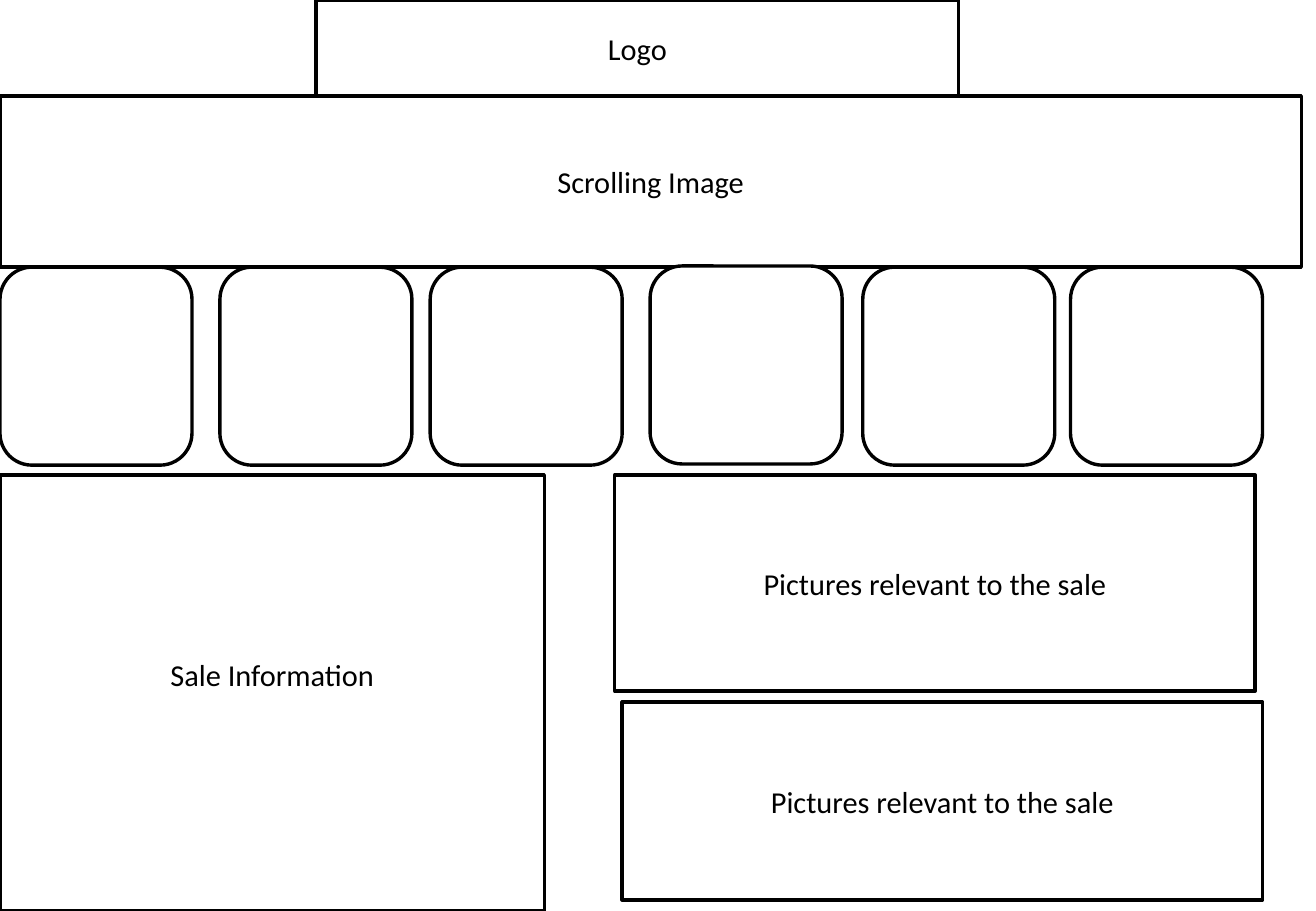
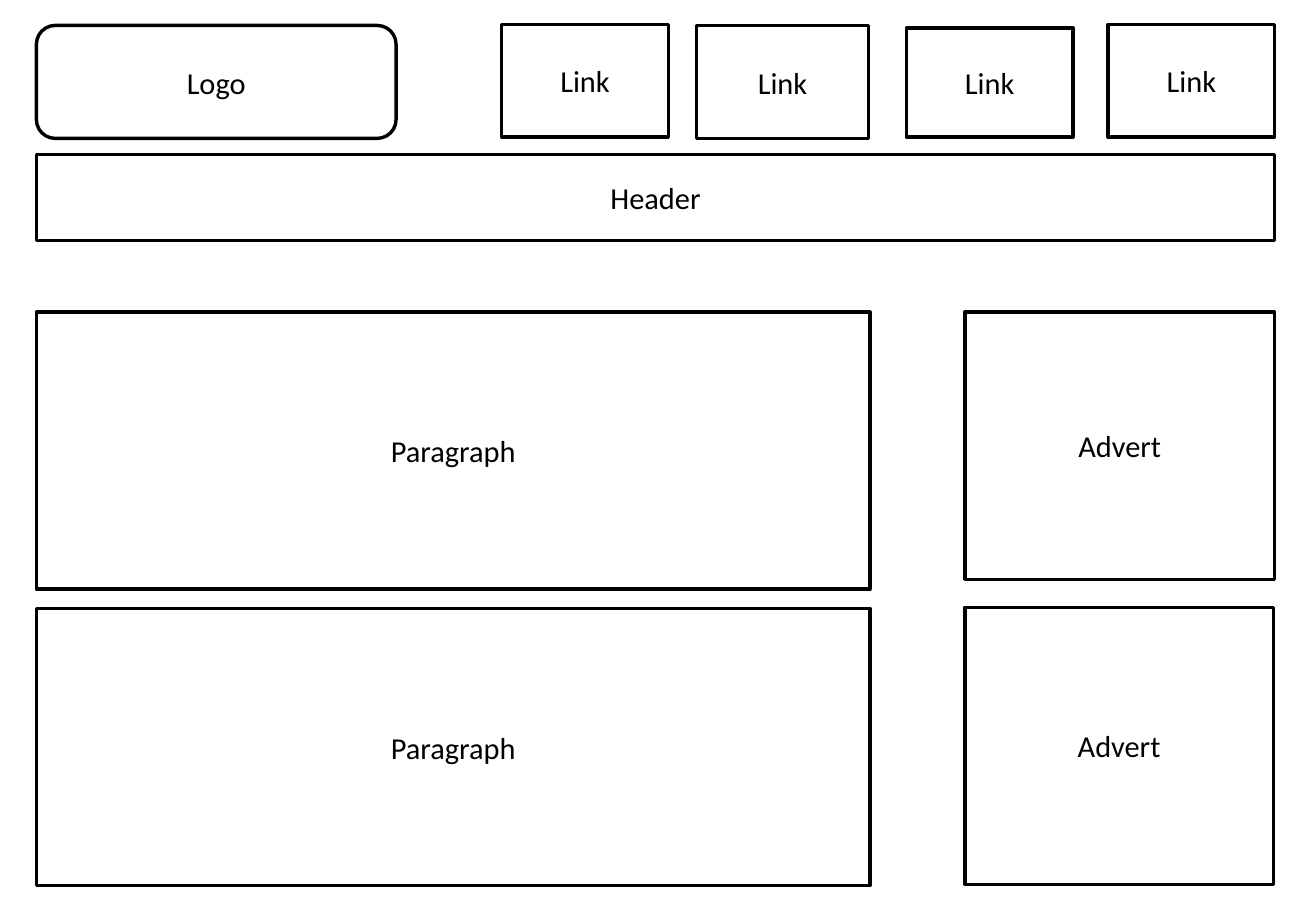
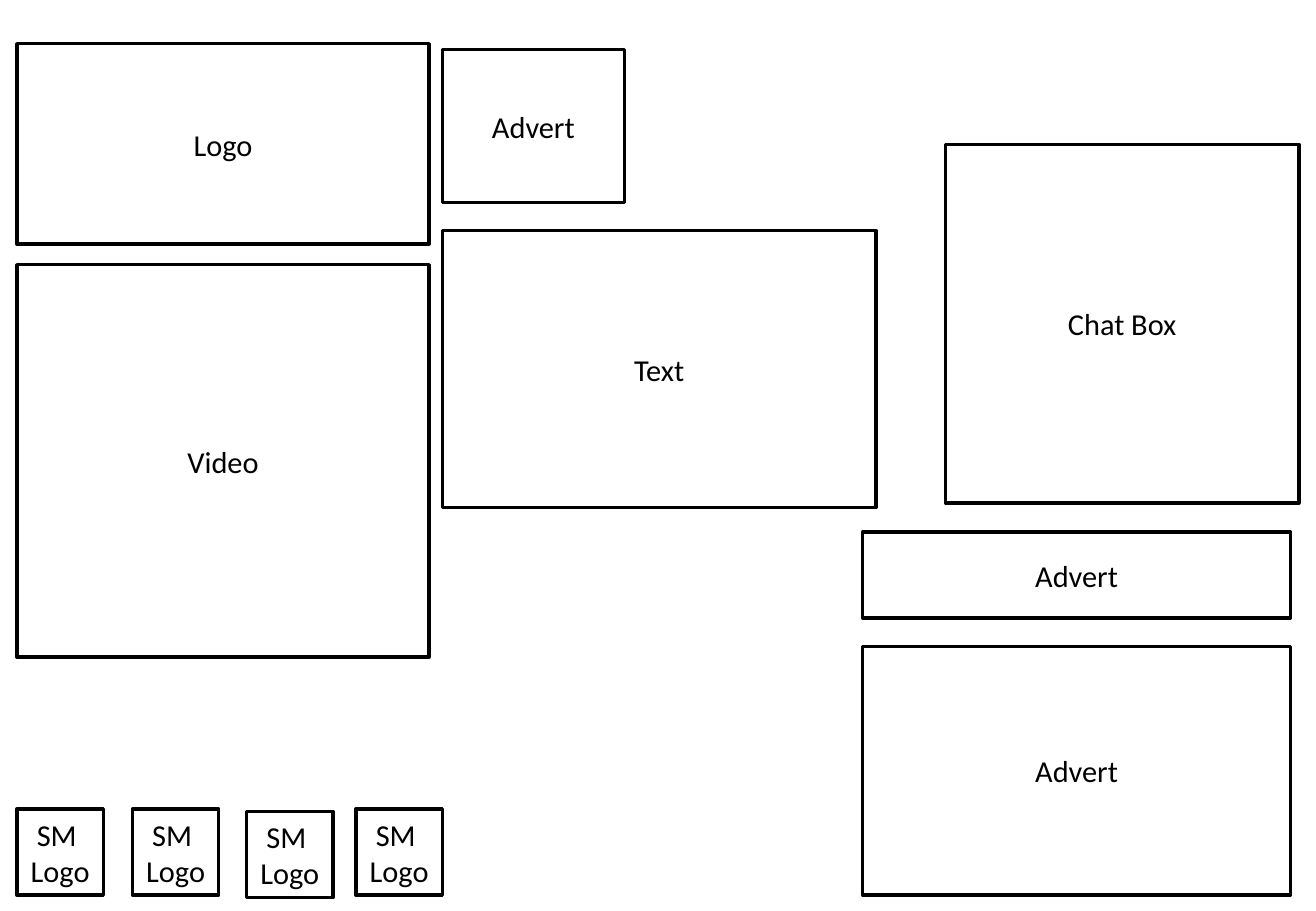
import pptx
import pptx.util
import pptx.dml.color
import pptx.enum.shapes
import pptx.enum.text

Inches = pptx.util.Inches
Pt = pptx.util.Pt
RECTANGLE = pptx.enum.shapes.MSO_SHAPE.RECTANGLE
ROUNDED = pptx.enum.shapes.MSO_SHAPE.ROUNDED_RECTANGLE

COLOURS = {"paper": "FFFFFF", "ink": "000000"}
FONT = {"name": "Calibri", "size": Pt(18)}
FRAME = {
    "word_wrap": True,
    "vertical_anchor": pptx.enum.text.MSO_ANCHOR.MIDDLE,
    "margin_left": Inches(0.1),
    "margin_right": Inches(0.1),
    "margin_top": Inches(0.05),
    "margin_bottom": Inches(0.05),
}


def colour(name):
    return pptx.dml.color.RGBColor.from_string(COLOURS[name])


def apply_format(target, values):
    for name, value in values.items():
        setattr(target, name, value)


def write_label(box, lines):
    frame = box.text_frame
    apply_format(frame, FRAME)
    for index, line in enumerate(lines):
        para = frame.add_paragraph() if index else frame.paragraphs[0]
        para.alignment = pptx.enum.text.PP_ALIGN.CENTER
        span = para.add_run()
        span.text = line
        apply_format(span.font, FONT)
        span.font.color.rgb = colour("ink")


def add_box(page, left, top, width, height, *lines, shape=RECTANGLE):
    box = page.shapes.add_shape(
        shape, Inches(left), Inches(top), Inches(width), Inches(height)
    )
    box.shadow.inherit = False
    box.fill.solid()
    box.fill.fore_color.rgb = colour("paper")
    box.line.color.rgb = colour("ink")
    box.line.width = Pt(2)
    if lines:
        write_label(box, lines)
    return box


def build_sale_page(page):
    add_box(page, 0, 0.79, 10.71, 1.41, "Scrolling Image")
    add_box(page, 2.6, 0, 5.29, 0.79, "Logo")
    tiles = [(0, 2.2), (1.81, 2.2), (3.54, 2.2), (5.35, 2.19), (7.1, 2.2), (8.81, 2.2)]
    for left, top in tiles:
        add_box(page, left, top, 1.58, 1.63, shape=ROUNDED)
    sale = add_box(page, 0, 3.91, 4.48, 3.59, "Sale Information")
    sale.text_frame.margin_bottom = Inches(0.35)
    for left, top, height in [(5.06, 3.91, 1.78), (5.12, 5.78, 1.63)]:
        add_box(page, left, top, 5.27, height, "Pictures relevant to the sale")


def build_article_page(page):
    margin = 0.3
    add_box(page, margin, 0.21, 2.96, 0.93, "Logo", shape=ROUNDED)
    links = [
        (4.13, 0.2, 1.37, 0.93),
        (5.73, 0.21, 1.42, 0.93),
        (7.46, 0.23, 1.37, 0.9),
        (9.12, 0.2, 1.37, 0.93),
    ]
    for link in links:
        add_box(page, *link, "Link")
    add_box(page, margin, 1.27, 10.19, 0.71, "Header")
    for top in (2.57, 5.01):
        add_box(page, margin, top, 6.86, 2.28, "Paragraph")
    for top, width, height in [(2.57, 2.55, 2.2), (5, 2.54, 2.28)]:
        add_box(page, 7.94, top, width, height, "Advert")


def build_video_page(page):
    margin = 0.14
    add_box(page, margin, 0.36, 3.39, 1.65, "Logo")
    add_box(page, margin, 2.18, 3.39, 3.23, "Video")
    add_box(page, 3.64, 1.9, 3.57, 2.28, "Text")
    add_box(page, 7.78, 1.19, 2.91, 2.95, "Chat Box")
    for left, top in [(margin, 6.66), (1.09, 6.66), (2.03, 6.68), (2.93, 6.66)]:
        add_box(page, left, top, 0.71, 0.71, "SM ", "Logo")
    adverts = [(3.64, 0.41, 1.5, 1.26), (7.1, 4.38, 3.52, 0.71), (7.1, 5.32, 3.52, 2.05)]
    for advert in adverts:
        add_box(page, *advert, "Advert")


def main():
    deck = pptx.Presentation()
    apply_format(deck, {"slide_width": Inches(10.83), "slide_height": Inches(7.5)})
    for build in (build_sale_page, build_article_page, build_video_page):
        build(deck.slides.add_slide(deck.slide_layouts[6]))
    deck.save("out.pptx")


main()
